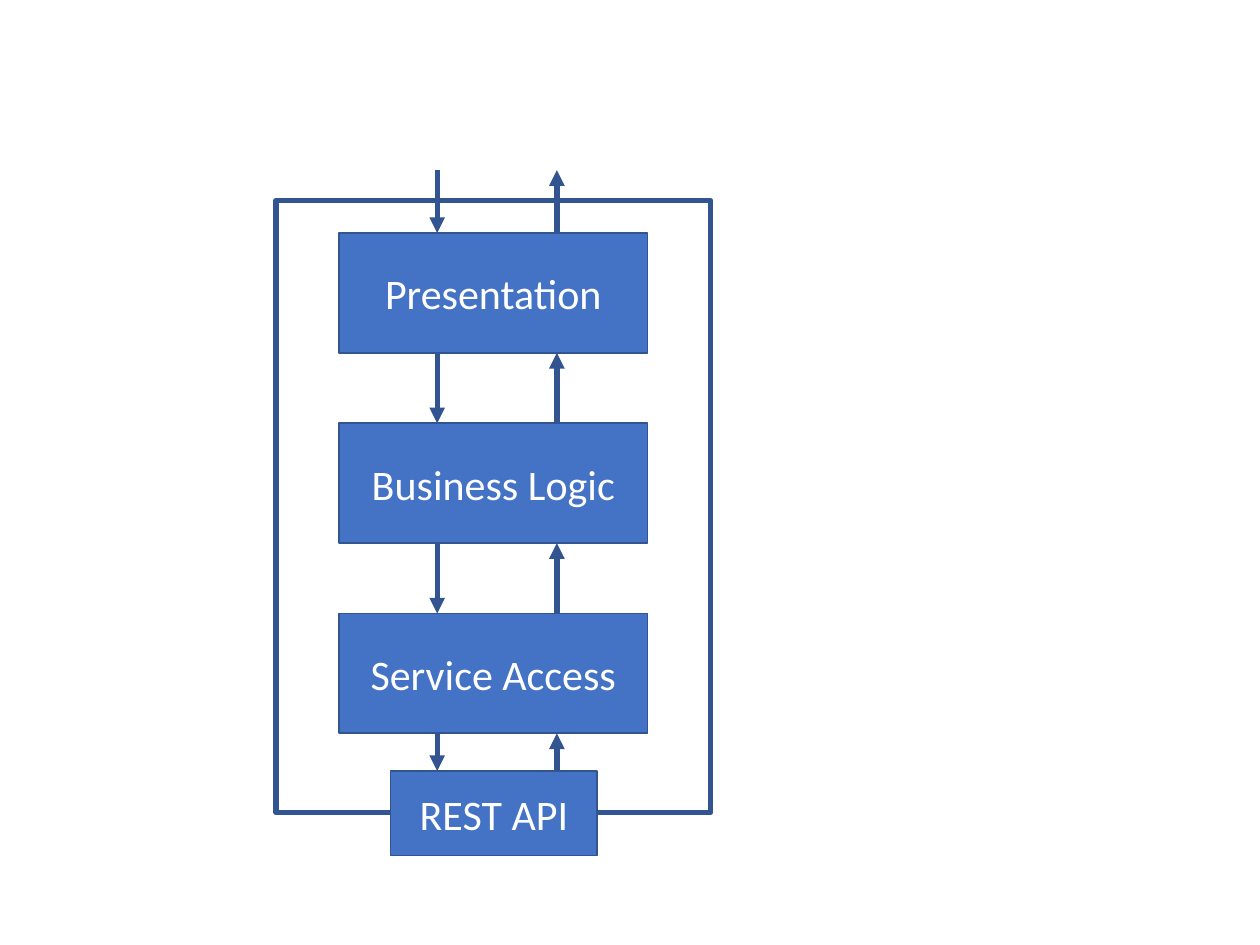
from dataclasses import dataclass

from lxml import etree
from pptx import Presentation
from pptx.dml.color import RGBColor
from pptx.enum.shapes import MSO_CONNECTOR, MSO_SHAPE
from pptx.enum.text import MSO_ANCHOR, PP_ALIGN
from pptx.oxml.ns import qn
from pptx.slide import Slide
from pptx.util import Inches, Pt

RECTANGLE = MSO_SHAPE.RECTANGLE
STRAIGHT = MSO_CONNECTOR.STRAIGHT
MIDDLE = MSO_ANCHOR.MIDDLE
CENTER = PP_ALIGN.CENTER
BLANK_LAYOUT = 6


@dataclass(frozen=True)
class Theme:
    font: str = "Calibri"
    text_size: int = 24
    text: RGBColor = RGBColor(0xFF, 0xFF, 0xFF)
    fill: RGBColor = RGBColor(0x44, 0x72, 0xC4)
    line: RGBColor = RGBColor(0x32, 0x54, 0x91)
    thin: float = 1
    thick: float = 3


@dataclass(frozen=True)
class Box:
    left: float
    top: float
    width: float
    height: float
    label: str = ""

    @property
    def bottom(self) -> float:
        return self.top + self.height


THEME = Theme()

# Layers stand at an equal pitch inside the application frame
LAYER_TOP, LAYER_PITCH = 1.85, 1.51
LAYERS = [
    Box(2.69, LAYER_TOP + index * LAYER_PITCH, 2.45, 0.95, label)
    for index, label in enumerate(["Presentation", "Business Logic", "Service Access"])
]
FRAME = Box(2.19, 1.59, 3.45, 4.86)
REST_API = Box(3.1, 6.12, 1.64, 0.67, "REST API")

# Requests run down on the left, responses run up on the right
REQUEST_X, RESPONSE_X = 3.47, 4.42
ENTRY_TOP = 1.35


def draw_box(page: Slide, box: Box) -> None:
    """Draw a filled, labelled box, or an open frame when there is no label."""
    shape = page.shapes.add_shape(
        RECTANGLE, Inches(box.left), Inches(box.top), Inches(box.width), Inches(box.height)
    )
    shape.shadow.inherit = False
    shape.line.color.rgb = THEME.line
    if not box.label:
        shape.fill.background()
        shape.line.width = Pt(THEME.thick)
        return
    shape.fill.solid()
    shape.fill.fore_color.rgb = THEME.fill
    shape.line.width = Pt(THEME.thin)
    shape.text_frame.vertical_anchor = MIDDLE
    paragraph = shape.text_frame.paragraphs[0]
    paragraph.text = box.label
    paragraph.alignment = CENTER
    paragraph.font.name = THEME.font
    paragraph.font.size = Pt(THEME.text_size)
    paragraph.font.color.rgb = THEME.text


def draw_arrow(page: Slide, x: float, start: float, end: float) -> None:
    """Draw a vertical arrow that points at its end."""
    arrow = page.shapes.add_connector(
        STRAIGHT, Inches(x), Inches(start), Inches(x), Inches(end)
    )
    arrow.line.color.rgb = THEME.line
    arrow.line.width = Pt(THEME.thick)
    outline = arrow.line._get_or_add_ln()
    etree.SubElement(outline, qn("a:tailEnd"), type="triangle")
    etree.SubElement(arrow._element.spPr, qn("a:effectLst"))


def main() -> None:
    deck = Presentation()
    deck.slide_width, deck.slide_height = Inches(10), Inches(7.5)
    page = deck.slides.add_slide(deck.slide_layouts[BLANK_LAYOUT])

    # Layers, frame and the interface on the frame's lower edge
    for box in [*LAYERS, FRAME, REST_API]:
        draw_box(page, box)

    # A pair of arrows in each gap, from the outside down to the interface
    gap_tops = [ENTRY_TOP, *(layer.bottom for layer in LAYERS)]
    gap_bottoms = [box.top for box in [*LAYERS, REST_API]]
    for top, bottom in zip(gap_tops, gap_bottoms):
        draw_arrow(page, REQUEST_X, top, bottom)
        draw_arrow(page, RESPONSE_X, bottom, top)

    deck.save("out.pptx")


main()
